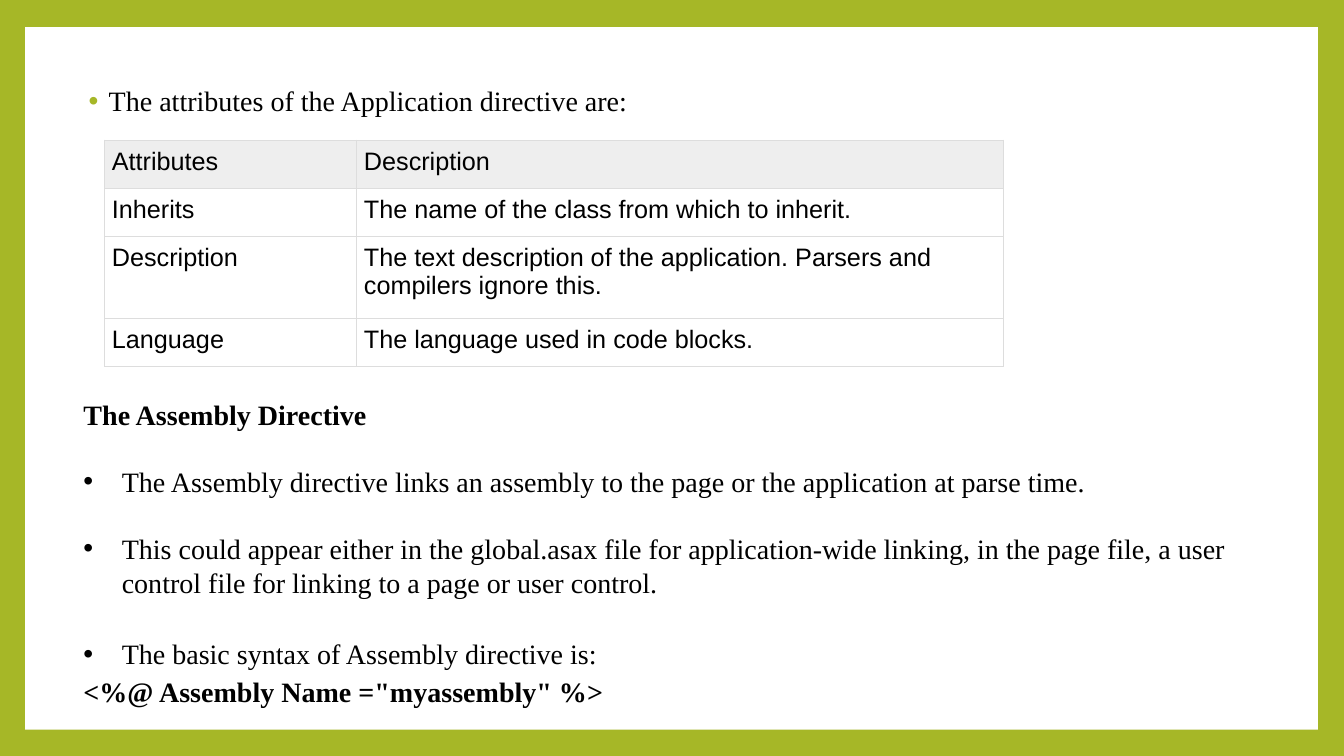
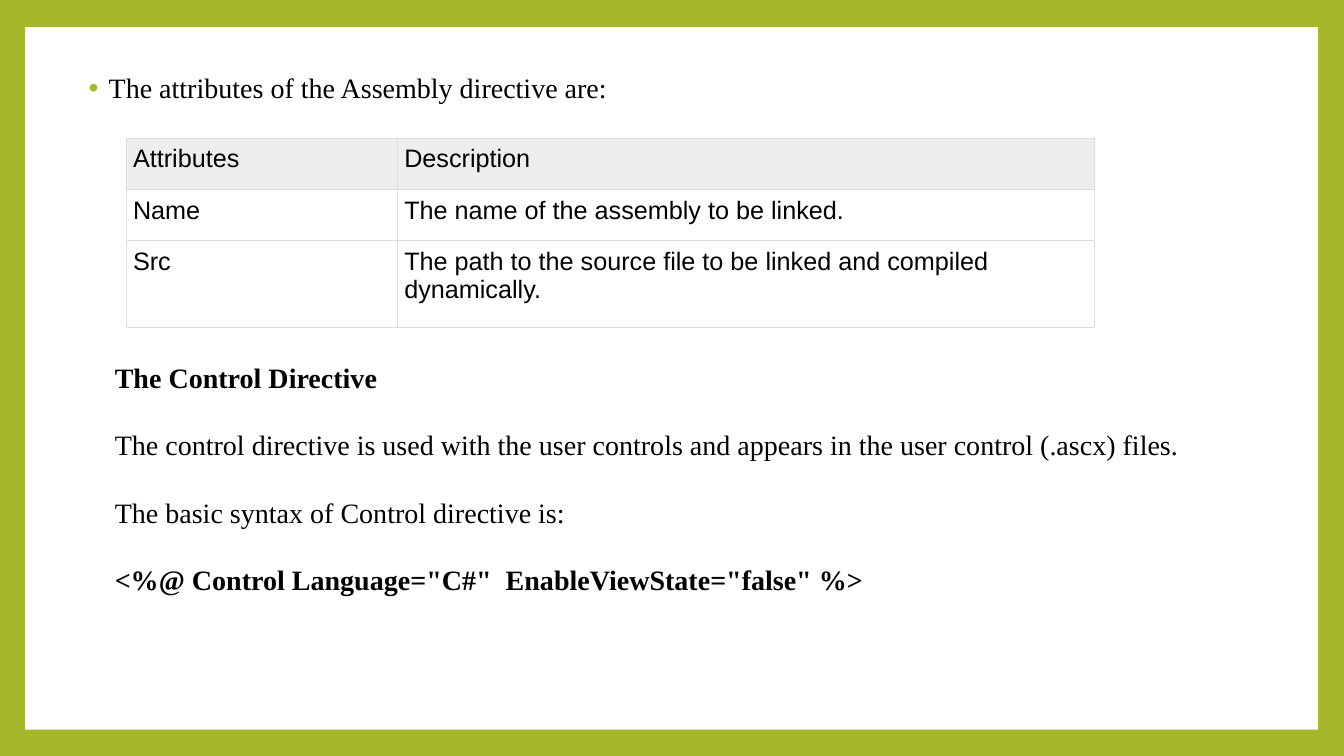
"""Build two slides on the attributes of page directives."""

from dataclasses import dataclass

import pptx
import pptx.dml.color
import pptx.enum.shapes
import pptx.oxml
import pptx.oxml.ns
import pptx.presentation
import pptx.shapes.autoshape
import pptx.slide
import pptx.table
import pptx.text.text
import pptx.util

Inches = pptx.util.Inches
Pt = pptx.util.Pt
RGBColor = pptx.dml.color.RGBColor

GREEN = RGBColor(0xA6, 0xB7, 0x27)
WHITE = RGBColor(0xFF, 0xFF, 0xFF)
BLACK = RGBColor(0x00, 0x00, 0x00)
HEADER_GREY = RGBColor(0xEE, 0xEE, 0xEE)
BORDER_GREY = RGBColor(0xDD, 0xDD, 0xDD)

BODY_FONT = {"name": "Times New Roman", "size": Pt(20), "bold": False}
STRONG_FONT = {**BODY_FONT, "bold": True}
TABLE_FONT = {"name": "Arial", "size": Pt(18), "bold": False}

LINE = Pt(24)
WIDE_LINE = Pt(27)
CELL_MARGIN = Inches(0.07)
CELL_MARGINS = {
    f"margin_{side}": CELL_MARGIN for side in ("left", "top", "right", "bottom")
}


@dataclass(frozen=True)
class Bullet:
    color: RGBColor
    margin: float
    hanging: float


@dataclass(frozen=True)
class Line:
    text: str
    strong: bool = False
    bullet: Bullet | None = None
    spacing: float | pptx.util.Length = LINE
    before: pptx.util.Length = LINE


@dataclass(frozen=True)
class TextArea:
    left: float
    top: float
    width: float
    height: float
    lines: tuple[Line, ...]


@dataclass(frozen=True)
class AttributeTable:
    left: float
    top: float
    widths: tuple[float, ...]
    heights: tuple[float, ...]
    rows: tuple[tuple[str, str], ...]


@dataclass(frozen=True)
class DirectivePage:
    intro: TextArea
    table: AttributeTable
    details: TextArea


INTRO_BULLET = Bullet(GREEN, 0.25, 0.2)
DETAIL_BULLET = Bullet(BLACK, 0.38, 0.38)
HEADER = ("Attributes", "Description")


def intro_line(directive: str) -> Line:
    """Return the sentence that opens a page."""
    text = f"The attributes of the {directive} directive are:"
    return Line(text, bullet=INTRO_BULLET, spacing=0.9, before=Pt(0))


PAGES = (
    DirectivePage(
        TextArea(0.73, 0.82, 11.31, 0.5, (intro_line("Application"),)),
        AttributeTable(
            1.04, 1.39, (2.5, 6.41), (0.48, 0.48, 0.81, 0.48),
            (
                HEADER,
                ("Inherits", "The name of the class from which to inherit."),
                ("Description", "The text description of the application. "
                                "Parsers and compilers ignore this."),
                ("Language", "The language used in code blocks."),
            ),
        ),
        TextArea(
            0.73, 3.89, 11.86, 3.18,
            (
                Line("The Assembly Directive", strong=True, before=Pt(0)),
                Line("The Assembly directive links an assembly to the page or "
                     "the application at parse time.", bullet=DETAIL_BULLET),
                Line("This could appear either in the global.asax file for "
                     "application-wide linking, in the page file, a user "
                     "control file for linking to a page or user control.",
                     bullet=DETAIL_BULLET),
                Line("The basic syntax of Assembly directive is:",
                     bullet=DETAIL_BULLET, spacing=WIDE_LINE),
                Line('<%@ Assembly Name ="myassembly" %>', strong=True,
                     spacing=WIDE_LINE, before=Pt(0)),
            ),
        ),
    ),
    DirectivePage(
        TextArea(0.73, 0.69, 12.06, 0.5, (intro_line("Assembly"),)),
        AttributeTable(
            1.25, 1.37, (2.69, 6.92), (0.51, 0.51, 0.86),
            (
                HEADER,
                ("Name", "The name of the assembly to be linked."),
                ("Src", "The path to the source file to be linked and "
                        "compiled dynamically."),
            ),
        ),
        TextArea(
            1.04, 3.53, 10.82, 2.46,
            (
                Line("The Control Directive", strong=True, before=Pt(0)),
                Line("The control directive is used with the user controls "
                     "and appears in the user control (.ascx) files."),
                Line("The basic syntax of Control directive is:"),
                Line('<%@ Control Language="C#"  EnableViewState="false" %>',
                     strong=True),
            ),
        ),
    ),
)


def write_span(para: pptx.text.text._Paragraph, text: str, font_format: dict) -> None:
    """Add a black run with the given font values."""
    span = para.add_run()
    span.text = text
    for name, value in font_format.items():
        setattr(span.font, name, value)
    span.font.color.rgb = BLACK


def set_bullet(para: pptx.text.text._Paragraph, bullet: Bullet) -> None:
    """Give a paragraph a coloured bullet and a hanging indent."""
    properties = para._p.get_or_add_pPr()
    properties.set("marL", str(Inches(bullet.margin)))
    properties.set("indent", str(-Inches(bullet.hanging)))
    namespace = pptx.oxml.ns.nsdecls("a")
    for xml in (
        f'<a:buClr {namespace}><a:srgbClr val="{bullet.color}"/></a:buClr>',
        f'<a:buFont {namespace} typeface="Arial"/>',
        f'<a:buChar {namespace} char="•"/>',
    ):
        properties.append(pptx.oxml.parse_xml(xml))


def draw_text(page: pptx.slide.Slide, area: TextArea) -> None:
    """Draw a text box with one paragraph per line."""
    box = page.shapes.add_textbox(
        Inches(area.left), Inches(area.top), Inches(area.width), Inches(area.height)
    )
    frame = box.text_frame
    frame.word_wrap = True
    for index, line in enumerate(area.lines):
        para = frame.add_paragraph() if index else frame.paragraphs[0]
        para.line_spacing = line.spacing
        para.space_before = line.before
        if line.bullet:
            set_bullet(para, line.bullet)
        write_span(para, line.text, STRONG_FONT if line.strong else BODY_FONT)


def set_borders(cell: pptx.table._Cell) -> None:
    """Draw a thin grey line on each side of a cell."""
    properties = cell._tc.get_or_add_tcPr()
    namespace = pptx.oxml.ns.nsdecls("a")
    for side in "LRTB":
        properties.append(pptx.oxml.parse_xml(
            f'<a:ln{side} {namespace} w="{Pt(0.75)}"><a:solidFill>'
            f'<a:srgbClr val="{BORDER_GREY}"/></a:solidFill></a:ln{side}>'
        ))


def draw_table(page: pptx.slide.Slide, content: AttributeTable) -> None:
    """Draw a bordered table with a grey header row."""
    table = page.shapes.add_table(
        len(content.rows), len(content.widths),
        Inches(content.left), Inches(content.top),
        Inches(sum(content.widths)), Inches(sum(content.heights)),
    ).table
    table.first_row = False
    table.horz_banding = False
    for column, width in zip(table.columns, content.widths):
        column.width = Inches(width)
    for row, height in zip(table.rows, content.heights):
        row.height = Inches(height)
    for row_index, texts in enumerate(content.rows):
        for column_index, text in enumerate(texts):
            cell = table.cell(row_index, column_index)
            for name, value in CELL_MARGINS.items():
                setattr(cell, name, value)
            set_borders(cell)
            if row_index == 0:
                cell.fill.solid()
                cell.fill.fore_color.rgb = HEADER_GREY
            else:
                cell.fill.background()
            write_span(cell.text_frame.paragraphs[0], text, TABLE_FONT)


def draw_panel(page: pptx.slide.Slide) -> None:
    """Draw the white panel inside the green frame."""
    panel = page.shapes.add_shape(
        pptx.enum.shapes.MSO_SHAPE.RECTANGLE,
        Inches(0.25), Inches(0.27), Inches(12.82), Inches(6.97),
    )
    panel.shadow.inherit = False
    panel.fill.solid()
    panel.fill.fore_color.rgb = WHITE
    panel.line.fill.background()


def add_page(deck: pptx.presentation.Presentation, content: DirectivePage) -> None:
    """Add one directive page to the deck."""
    page = deck.slides.add_slide(deck.slide_layouts[6])
    draw_panel(page)
    draw_text(page, content.intro)
    draw_table(page, content.table)
    draw_text(page, content.details)


def main() -> None:
    """Build and save the deck."""
    deck = pptx.Presentation()
    deck.slide_width = Inches(13.33)
    deck.slide_height = Inches(7.5)
    background = deck.slide_master.background.fill
    background.solid()
    background.fore_color.rgb = GREEN
    for content in PAGES:
        add_page(deck, content)
    deck.save("out.pptx")


if __name__ == "__main__":
    main()
